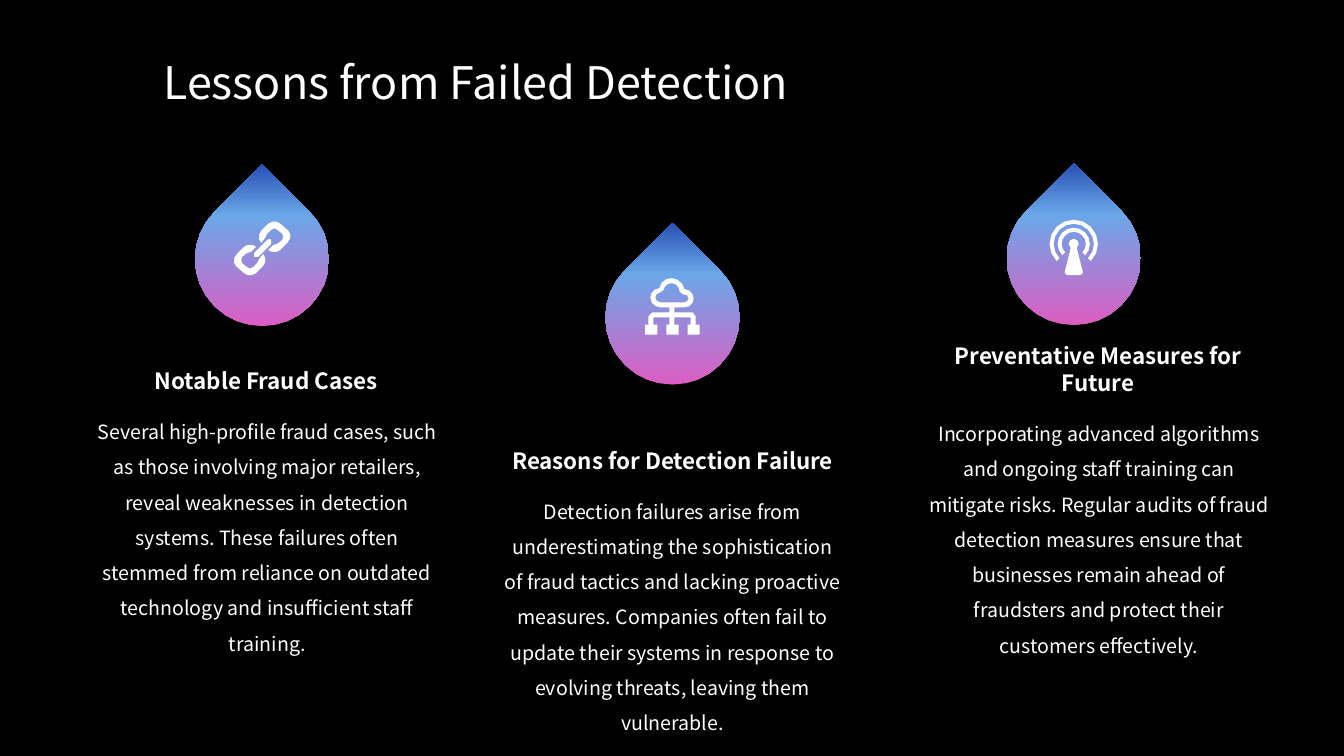
import copy
import math

import pptx
import pptx.dml.color
import pptx.enum.text
import pptx.oxml.ns
import pptx.util
from pptx.util import Inches

RGBColor = pptx.dml.color.RGBColor
BLACK = RGBColor(0x00, 0x00, 0x00)
WHITE = RGBColor(0xFF, 0xFF, 0xFF)
PINK = RGBColor(0xDC, 0x5D, 0xC2)
SKY = RGBColor(0x6B, 0xA7, 0xE8)
BLUE = RGBColor(0x28, 0x51, 0xB6)
FONT = "Noto Sans CJK SC"
ALIGN = pptx.enum.text.PP_ALIGN
ANCHOR = pptx.enum.text.MSO_ANCHOR


def write(sp, text, size, bold=False, align=ALIGN.CENTER, anchor=ANCHOR.TOP, spacing=None):
    tf = sp.text_frame
    tf.word_wrap = True
    tf.auto_size = pptx.enum.text.MSO_AUTO_SIZE.SHAPE_TO_FIT_TEXT
    tf.vertical_anchor = anchor
    p = tf.paragraphs[0]
    p.alignment = align
    if spacing:
        p.line_spacing = spacing
    r = p.add_run()
    r.text = text
    r.font.name = FONT
    r.font.size = pptx.util.Pt(size)
    r.font.bold = bold
    r.font.color.rgb = WHITE


def draw(s, contours, tip_x, tip_y):
    """Draw closed contours, in hundredths of an inch from the drop's tip.

    A pair is a line end; six numbers are a cubic curve's two controls and end.
    Longer curves are divided into more segments.
    """
    builder = None
    for contour in contours:
        points = []
        for step in contour:
            if len(step) == 2:
                points.append(step)
                continue
            curve = [points[-1], step[:2], step[2:4], step[4:]]
            count = max(1, round(0.8 * math.sqrt(math.dist(curve[0], curve[3]))))
            for i in range(1, count + 1):
                t = i / count
                weights = [math.comb(3, k) * t**k * (1 - t) ** (3 - k) for k in range(4)]
                points.append(tuple(sum(w * c[axis] for w, c in zip(weights, curve))
                                    for axis in (0, 1)))
        points = [(Inches(tip_x + x / 100), Inches(tip_y + y / 100)) for x, y in points]
        if builder is None:
            builder = s.shapes.build_freeform(*points[0])
        else:
            builder.move_to(*points[0])
        builder.add_line_segments(points[1:], close=True)
    sp = builder.convert_to_shape()
    sp.shadow.inherit = False
    sp.line.fill.background()
    sp.fill.solid()
    sp.fill.fore_color.rgb = WHITE
    return sp


DROP = [[(0, 0), (47, 47), (73, 73, 73, 115, 47, 141),
         (21, 167, -21, 167, -47, 141), (-73, 115, -73, 73, -47, 47)]]

# Chain: the upper link is the lower one turned half round
lower_link = [
    (-12, 80), (-10, 80, -8, 80, -6, 82), (-11, 87), (-15, 88),
    (-20, 92), (-21, 94, -21, 97, -20, 98), (-15, 102), (-14, 104, -11, 104, -9, 102),
    (-5, 98), (-3, 94), (1, 89), (4, 92, 4, 98, 1, 101),
    (-6, 108), (-10, 111, -15, 111, -18, 108), (-26, 101), (-29, 98, -29, 93, -25, 89),
    (-18, 82), (-16, 80, -14, 80, -12, 80)]
upper_link = [tuple(167 - v if i % 2 else -v for i, v in enumerate(step))
              for step in lower_link]
chain_bar = [(7, 74), (9, 75), (9, 79), (-4, 92), (-8, 92), (-8, 88), (5, 75)]
CHAIN = [lower_link, chain_bar, upper_link]

# Cloud above a tree of three boxes
cloud_outer = [(-12, 84), (-17, 84, -22, 80, -22, 74), (-22, 70, -18, 65, -13, 65),
               (-12, 59, -7, 55, -1, 55), (5, 55, 11, 60, 12, 66),
               (17, 66, 21, 70, 21, 75), (21, 80, 17, 84, 12, 84)]
cloud_inner = [(-12, 79), (-15, 79, -17, 77, -17, 74), (-17, 72, -15, 69, -12, 69),
               (-9, 67), (-8, 63, -5, 60, -1, 60), (3, 60, 7, 63, 7, 68), (10, 71),
               (14, 70, 16, 73, 16, 75), (16, 77, 14, 79, 12, 79)]
tree = [(-3, 84), (2, 84), (2, 89), (20, 89), (23, 93), (23, 101),
        (18, 101), (18, 94), (2, 94), (2, 101), (-3, 101), (-3, 94), (-19, 94),
        (-19, 101), (-24, 101), (-24, 93), (-20, 89), (-3, 89)]
boxes = [[(x, 101), (x + 12, 101), (x + 12, 111), (x, 111)] for x in (-27, -6, 15)]
CLOUD = [cloud_outer, cloud_inner, tree] + boxes

# Antenna: a mast within two rings that open downwards
mast = [(0, 75), (3, 75, 5, 77, 5, 80), (3, 84), (9, 108), (8, 110), (6, 111),
        (-6, 111), (-8, 110), (-9, 108), (-3, 84), (-5, 80), (-5, 77, -3, 75, 0, 75)]
sweep = [math.radians(135 + 22.5 * i) for i in range(13)]
rings = [[(radius * math.cos(a), 80 + radius * math.sin(a))
          for radius, angles in ((outer, sweep), (inner, sweep[::-1])) for a in angles]
         for outer, inner in ((16, 12), (24, 20))]
ANTENNA = [mast] + rings

# Icon, drop tip, heading place, body place, heading, body
LESSONS = [
    (CHAIN, (2.6, 1.63), (0.85, 3.59), (0.86, 4), "Notable Fraud Cases",
     "Several high-profile fraud cases, such as those involving major retailers, reveal "
     "weaknesses in detection systems. These failures often stemmed from reliance on "
     "outdated technology and insufficient staff training."),
    (CLOUD, (6.67, 2.21), (4.88, 4.38), (4.88, 4.79), "Reasons for Detection Failure",
     "Detection failures arise from underestimating the sophistication of fraud tactics "
     "and lacking proactive measures. Companies often fail to update their systems in "
     "response to evolving threats, leaving them vulnerable."),
    (ANTENNA, (10.65, 1.62), (9.1, 3.61), (9.11, 4.02), "Preventative Measures for Future",
     "Incorporating advanced algorithms and ongoing staff training can mitigate risks. "
     "Regular audits of fraud detection measures ensure that businesses remain ahead of "
     "fraudsters and protect their customers effectively."),
]

prs = pptx.Presentation()
prs.slide_width = Inches(13.33)
prs.slide_height = Inches(7.5)
s = prs.slides.add_slide(prs.slide_layouts[5])
s.background.fill.solid()
s.background.fill.fore_color.rgb = BLACK

title = s.shapes.title
title.left, title.top = Inches(1.52), Inches(0.49)
title.width, title.height = Inches(7.79), Inches(0.64)
write(title, "Lessons from Failed Detection", 32, align=ALIGN.LEFT)

for icon, tip, heading_at, body_at, heading, body in LESSONS:
    drop = draw(s, DROP, *tip)
    drop.fill.gradient()
    drop.fill.gradient_angle = 90
    stops = drop._element.spPr.find(".//" + pptx.oxml.ns.qn("a:gsLst"))
    stops.append(copy.deepcopy(stops[0]))
    for stop, position, color in zip(drop.fill.gradient_stops, (0, 0.68, 1), (PINK, SKY, BLUE)):
        stop.position = position
        stop.color.rgb = color
    draw(s, icon, *tip)

    sp = s.shapes.add_textbox(*map(Inches, (*heading_at, 3.58, 0.37)))
    write(sp, heading, 16, bold=True, anchor=ANCHOR.BOTTOM)
    sp = s.shapes.add_textbox(*map(Inches, (*body_at, 3.58, 2.18)))
    write(sp, body, 14, spacing=1.5)

prs.save("out.pptx")
